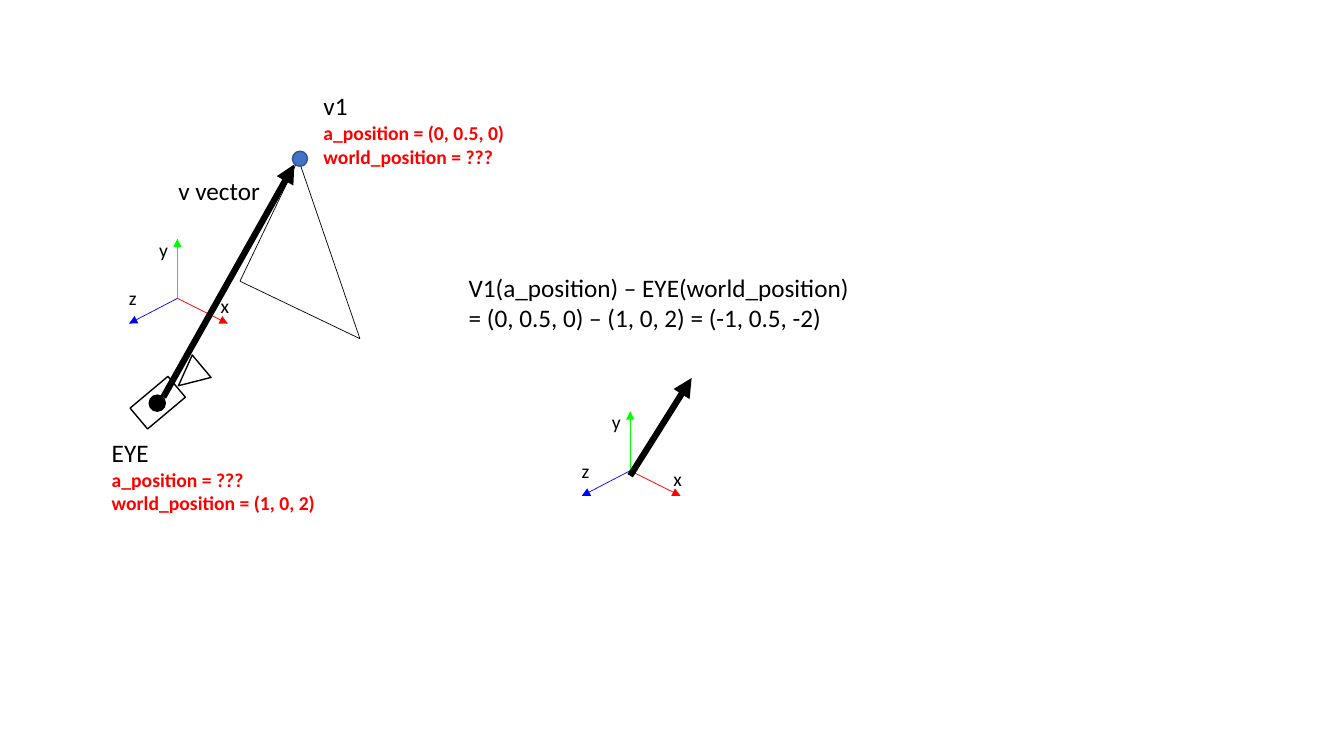
from pptx import Presentation
from pptx import util as u
from pptx.dml.color import RGBColor
from pptx.enum import shapes, text
from pptx.oxml.ns import qn
from lxml import etree

THEME = {
    "font": "Calibri",
    "black": RGBColor(0, 0, 0),
    "white": RGBColor(255, 255, 255),
    "red": RGBColor(255, 0, 0),
    "green": RGBColor(0, 255, 0),
    "blue": RGBColor(0, 0, 255),
    "vertex": RGBColor(0x44, 0x72, 0xC4),
    "vertex_edge": RGBColor(0x32, 0x54, 0x91),
    "body": u.Pt(18),
    "small": u.Pt(14),
    "thin": u.Pt(0.5),
    "outline": u.Pt(1),
    "thick": u.Pt(4.5),
}

prs = Presentation()
prs.slide_width, prs.slide_height = u.Inches(13.33), u.Inches(7.5)
s = prs.slides.add_slide(prs.slide_layouts[6])


def add_line(start, end, color="black", width="thin", arrow=True):
    c = s.shapes.add_connector(
        shapes.MSO_CONNECTOR.STRAIGHT, *(u.Inches(v) for v in (*start, *end)))
    c.line.color.rgb = THEME[color]
    c.line.width = THEME[width]
    pr = c._element.spPr
    if arrow:
        etree.SubElement(pr.find(qn("a:ln")), qn("a:tailEnd"), type="triangle")
    etree.SubElement(pr, qn("a:effectLst"))


def add_text(box, lines, wrap=True):
    tf = s.shapes.add_textbox(*(u.Inches(v) for v in box)).text_frame
    tf.word_wrap = wrap
    tf.auto_size = text.MSO_AUTO_SIZE.SHAPE_TO_FIT_TEXT
    for i, (words, size, color, bold) in enumerate(lines):
        p = tf.paragraphs[0] if i == 0 else tf.add_paragraph()
        r = p.add_run()
        r.text = words
        font = {"name": THEME["font"], "size": THEME[size], "bold": bold}
        for key, value in font.items():
            setattr(r.font, key, value)
        r.font.color.rgb = THEME[color]


axes = [
    ("x", "red", (0.5, 0.25), (0.33, -0.09, 0.29, 0.34)),
    ("y", "green", (0, -0.59), (-0.28, -0.65, 0.29, 0.34)),
    ("z", "blue", (-0.48, 0.25), (-0.58, -0.17, 0.28, 0.34)),
]
for ox, oy in [(1.76, 2.96), (6.25, 4.67)]:
    for name, color, (dx, dy), (lx, ly, w, h) in axes:
        add_line((ox, oy), (ox + dx, oy + dy), color)
        add_text((ox + lx, oy + ly, w, h), [(name, "small", "black", False)], wrap=False)

corners = [(2.96, 1.58), (2.38, 2.79), (3.57, 3.36)]
for i, corner in enumerate(corners):
    add_line(corner, corners[i - 1], arrow=False)

kind = shapes.MSO_SHAPE
for preset, box, rotation, fill, edge in [
    (kind.RECTANGLE, (1.32, 3.86, 0.49, 0.27), 320, "white", "black"),
    (kind.ISOSCELES_TRIANGLE, (1.74, 3.58, 0.29, 0.3), 230, "white", "black"),
    (kind.OVAL, (1.48, 3.92, 0.16, 0.16), 0, "black", "black"),
    (kind.OVAL, (2.9, 1.5, 0.15, 0.15), 0, "vertex", "vertex_edge"),
]:
    sp = s.shapes.add_shape(preset, *(u.Inches(v) for v in box))
    sp.rotation = rotation
    sp.shadow.inherit = False
    sp.fill.solid()
    sp.fill.fore_color.rgb = THEME[fill]
    sp.line.color.rgb = THEME[edge]
    sp.line.width = THEME["outline"]

for box, heading, *positions in [
    ((1.01, 4.29, 2.44, 0.88), "EYE", "a_position = ???", "world_position = (1, 0, 2)"),
    ((3.11, 0.85, 3.15, 0.88), "v1", "a_position = (0, 0.5, 0)", "world_position = ???"),
]:
    add_text(box, [(heading, "body", "black", False)]
             + [(words, "small", "red", True) for words in positions])

add_text((4.55, 2.65, 4.22, 0.71), [
    ("V1(a_position) – EYE(world_position)", "body", "black", False),
    ("= (0, 0.5, 0) – (1, 0, 2) = (-1, 0.5, -2)", "body", "black", False),
])

for start, end in [((1.62, 3.94), (2.92, 1.63)), ((6.25, 4.72), (6.86, 3.75))]:
    add_line(start, end, width="thick")
add_text((1.67, 1.69, 1.02, 0.4), [("v vector", "body", "black", False)], wrap=False)

prs.save("out.pptx")
